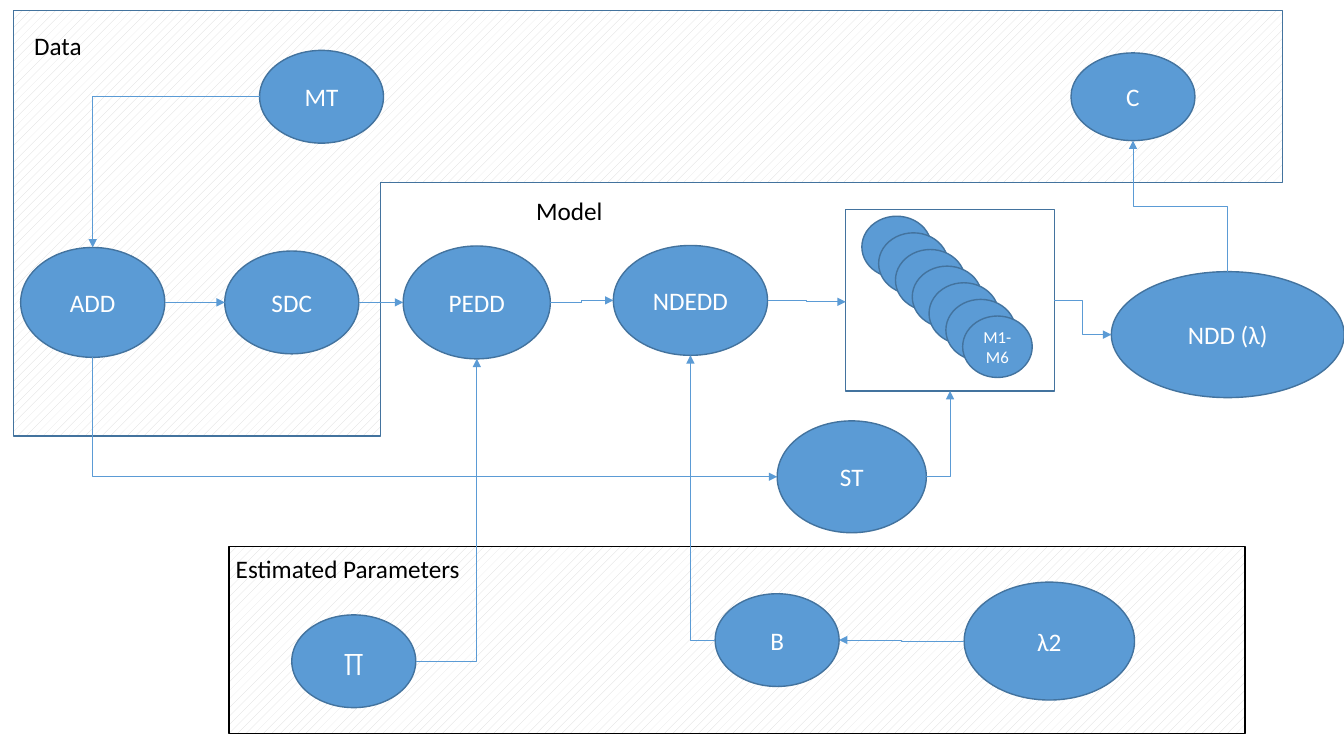
from dataclasses import dataclass

from lxml.etree import SubElement
from pptx import Presentation
from pptx.dml.color import RGBColor
from pptx.enum.dml import MSO_PATTERN
from pptx.enum.shapes import MSO_CONNECTOR, MSO_SHAPE
from pptx.enum.text import MSO_ANCHOR, MSO_AUTO_SIZE, PP_ALIGN
from pptx.oxml.ns import qn
from pptx.util import Inches, Pt


@dataclass(frozen=True)
class Theme:
    """Colours, font and sizes of the slide."""
    font: str = "Calibri"
    node: RGBColor = RGBColor(0x5B, 0x9B, 0xD5)
    edge: RGBColor = RGBColor(0x43, 0x73, 0x9E)
    hatch: RGBColor = RGBColor(0xD9, 0xD9, 0xD9)
    white: RGBColor = RGBColor(255, 255, 255)
    black: RGBColor = RGBColor(0, 0, 0)
    body: int = 18
    small: int = 12
    border: float = 1
    arrow: float = 0.5


@dataclass(frozen=True)
class Node:
    """A shape given by its centre and size, in grid cells."""
    text: str
    x: float
    y: float
    w: float
    h: float
    kind: MSO_SHAPE = MSO_SHAPE.OVAL

    def site(self, side: str) -> tuple[float, float]:
        """Return the middle of one side."""
        dx, dy = SIDES[side]
        return self.x + dx * self.w / 2, self.y + dy * self.h / 2

    def index(self, side: str) -> int:
        """Return the number of the connection site on one side."""
        step = 2 if self.kind == MSO_SHAPE.OVAL else 1
        return list(SIDES).index(side) * step


@dataclass(frozen=True)
class Link:
    """An elbow arrow between the sides of two nodes."""
    start: str
    leave: str
    end: str
    enter: str
    drop: float = 0


@dataclass(frozen=True)
class Label:
    """A caption given by its top left corner and size."""
    text: str
    x: float
    y: float
    w: float
    h: float = 4


THEME = Theme()
CELL = Inches(0.1)
SIDES = {"top": (0, -1), "left": (-1, 0), "bottom": (0, 1), "right": (1, 0)}
UPRIGHT = ("top", "bottom")

DATA = Node("", 64.3, 22.15, 42.2, 125.9, MSO_SHAPE.CORNER)
PARAMS = Node("", 73.1, 63.5, 100.8, 18.6, MSO_SHAPE.RECTANGLE)
FRAME = Node("", 94.25, 29.8, 20.7, 18, MSO_SHAPE.RECTANGLE)
NODES = [
    Node("ADD", 9.2, 30, 14.3, 10.9),
    Node("SDC", 28.95, 30, 13.3, 10.2),
    Node("ST", 84.5, 47.3, 14.8, 11.1),
    Node("NDEDD", 68.5, 29.8, 15.3, 10.9),
    Node("PEDD", 47.3, 30, 14.6, 11.2),
    Node("∏", 35.1, 65.6, 12.3, 9.2),
    Node("NDD (λ)", 121.8, 33.2, 23.1, 12.5),
    Node("B", 77.1, 63.5, 12.3, 9.2),
    Node("C", 112.4, 9.6, 12.3, 8.7),
    Node("MT", 31.9, 9.6, 12.3, 9.2),
    Node("λ2", 104.1, 63.6, 16.9, 11.7),
]
MODELS = 7
STACK = [Node("M1-M6" if i == MODELS - 1 else "",
              88.95 + i * 10 / 6, 24.5 + i * 1.65, 6.9, 6.1)
         for i in range(MODELS)]
LINKS = [
    Link("ADD", "right", "SDC", "left"),
    Link("SDC", "right", "PEDD", "left"),
    Link("∏", "right", "PEDD", "bottom"),
    Link("MT", "left", "ADD", "top"),
    Link("B", "left", "NDEDD", "bottom"),
    Link("PEDD", "right", "NDEDD", "left"),
    Link("ADD", "bottom", "ST", "left"),
    Link("NDD (λ)", "top", "C", "bottom"),
    Link("ST", "right", "frame", "bottom"),
    Link("NDEDD", "right", "frame", "left", drop=0.15),
    Link("frame", "right", "NDD (λ)", "left"),
    Link("λ2", "left", "B", "right"),
]
LABELS = [
    Label("Estimated Parameters", 22.4, 54.4, 24.5),
    Label("Data", 2.4, 2.5, 6.8),
    Label("Model", 52.2, 18.9, 8.7),
]


def cells(*counts: float) -> list[int]:
    """Turn grid cells into slide lengths."""
    return [round(n * CELL) for n in counts]


def style(frame, size: int, color: RGBColor) -> None:
    """Format every run of a text frame."""
    for para in frame.paragraphs:
        for run in para.runs:
            run.font.name = THEME.font
            run.font.size = Pt(size)
            run.font.color.rgb = color


def draw(shapes, node: Node, edge: RGBColor = THEME.edge,
         size: int = THEME.body):
    """Add a node with its centred text."""
    shape = shapes.add_shape(node.kind, *cells(
        node.x - node.w / 2, node.y - node.h / 2, node.w, node.h))
    shape.shadow.inherit = False
    shape.fill.solid()
    shape.fill.fore_color.rgb = THEME.node
    shape.line.color.rgb = edge
    shape.line.width = Pt(THEME.border)
    if node.text:
        frame = shape.text_frame
        frame.text = node.text
        frame.vertical_anchor = MSO_ANCHOR.MIDDLE
        frame.paragraphs[0].alignment = PP_ALIGN.CENTER
        style(frame, size, THEME.white)
    return shape


def panel(shapes, node: Node, edge: RGBColor):
    """Add a hatched background area."""
    shape = draw(shapes, node, edge)
    shape.fill.patterned()
    shape.fill.pattern = MSO_PATTERN.PERCENT_20
    shape.fill.fore_color.rgb = THEME.hatch
    shape.fill.back_color.rgb = THEME.white
    return shape


def join(shapes, link: Link, nodes: dict, drawn: dict) -> None:
    """Add an elbow arrow and glue it to its nodes."""
    first, last = nodes[link.start], nodes[link.end]
    (x1, y1), (x2, y2) = first.site(link.leave), last.site(link.enter)
    y2 += link.drop
    upright = link.leave in UPRIGHT
    if upright:  # a quarter turn makes the first leg vertical
        mx, my, dx, dy = (x1 + x2) / 2, (y1 + y2) / 2, x2 - x1, y2 - y1
        x1, y1, x2, y2 = mx - dy / 2, my + dx / 2, mx + dy / 2, my - dx / 2
    line = shapes.add_connector(MSO_CONNECTOR.ELBOW, *cells(x1, y1, x2, y2))
    line.line.color.rgb = THEME.node
    line.line.width = Pt(THEME.arrow)
    props = line.element.spPr
    if upright:
        props.find(qn("a:xfrm")).set("rot", "5400000")
    if upright != (link.enter in UPRIGHT):
        props.find(qn("a:prstGeom")).set("prst", "bentConnector2")
    SubElement(props.find(qn("a:ln")), qn("a:tailEnd"), type="triangle")
    SubElement(props, qn("a:effectLst"))
    glue = line.element.find(f".//{qn('p:cNvCxnSpPr')}")
    ends = [("a:stCxn", link.start, first.index(link.leave))]
    if not link.drop:
        ends.append(("a:endCxn", link.end, last.index(link.enter)))
    for tag, key, site in ends:
        SubElement(glue, qn(tag), id=str(drawn[key].shape_id), idx=str(site))


def caption(shapes, label: Label) -> None:
    """Add a one-line caption."""
    box = shapes.add_textbox(*cells(label.x, label.y, label.w, label.h))
    frame = box.text_frame
    frame.word_wrap = False
    frame.auto_size = MSO_AUTO_SIZE.SHAPE_TO_FIT_TEXT
    frame.text = label.text
    style(frame, THEME.body, THEME.black)


def main() -> None:
    """Build and save the slide."""
    deck = Presentation()
    deck.slide_width, deck.slide_height = cells(133.33, 75)
    shapes = deck.slides.add_slide(deck.slide_layouts[6]).shapes

    data = panel(shapes, DATA, THEME.edge)
    data.rotation = 90
    data.adjustments[0], data.adjustments[1] = 0.863, 0.404
    panel(shapes, PARAMS, THEME.black)

    drawn = {node.text: draw(shapes, node) for node in NODES}
    group = shapes.add_group_shape().shapes
    for node in STACK:
        draw(group, node, size=THEME.small)
    drawn["frame"] = draw(group, FRAME)
    drawn["frame"].fill.background()

    nodes = {node.text: node for node in NODES} | {"frame": FRAME}
    for link in LINKS:
        join(shapes, link, nodes, drawn)
    for label in LABELS:
        caption(shapes, label)
    deck.save("out.pptx")


main()
